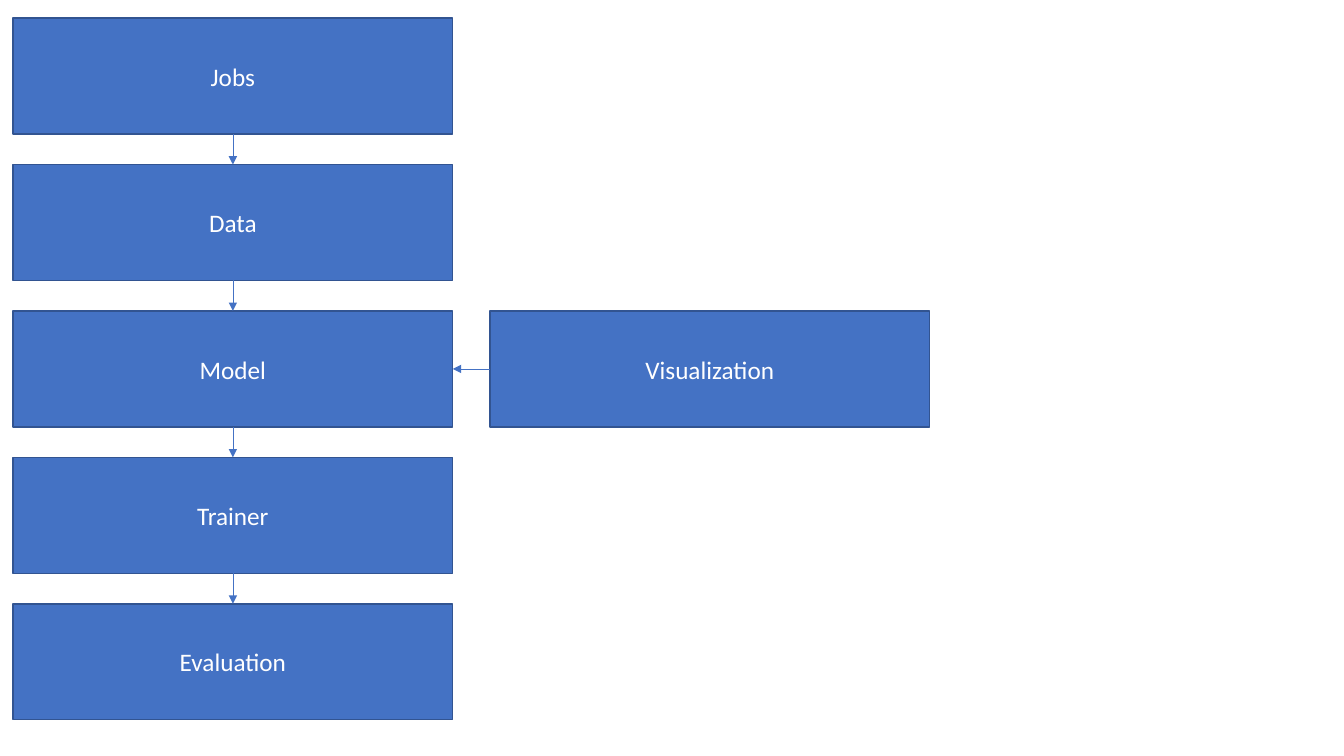
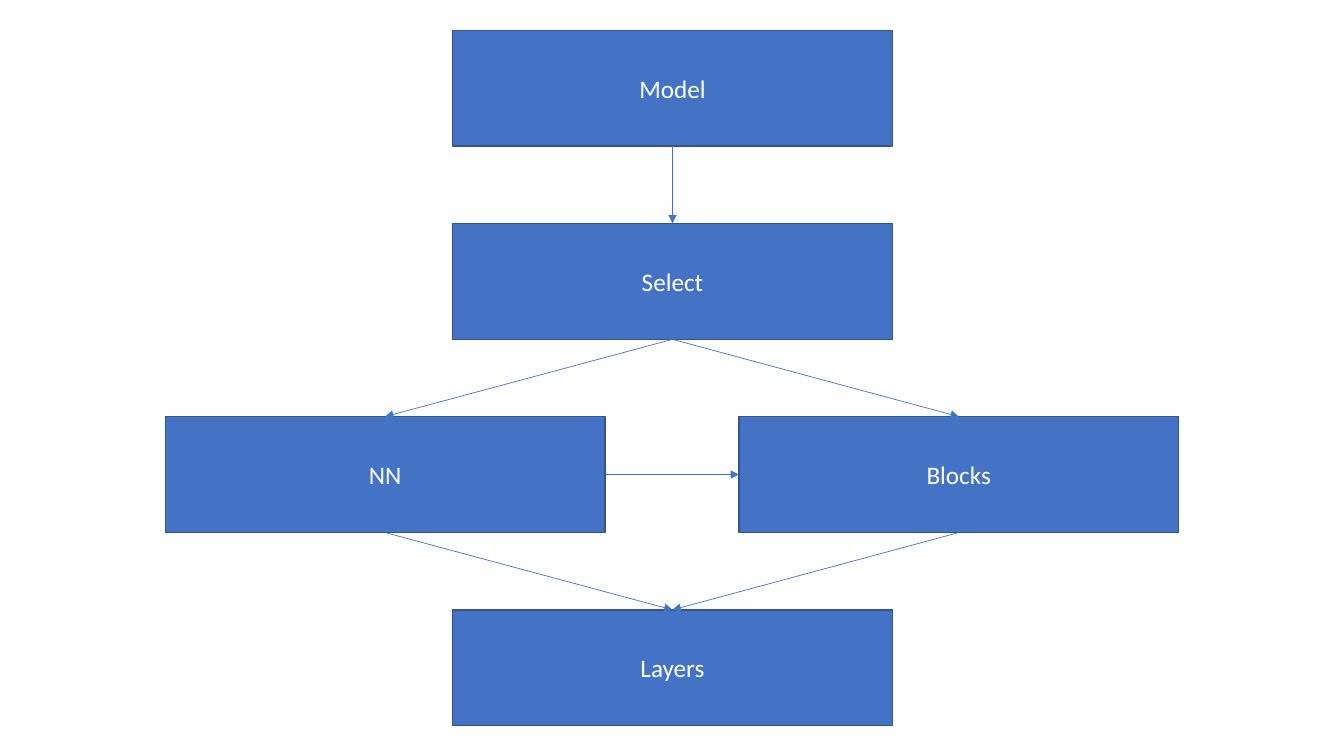
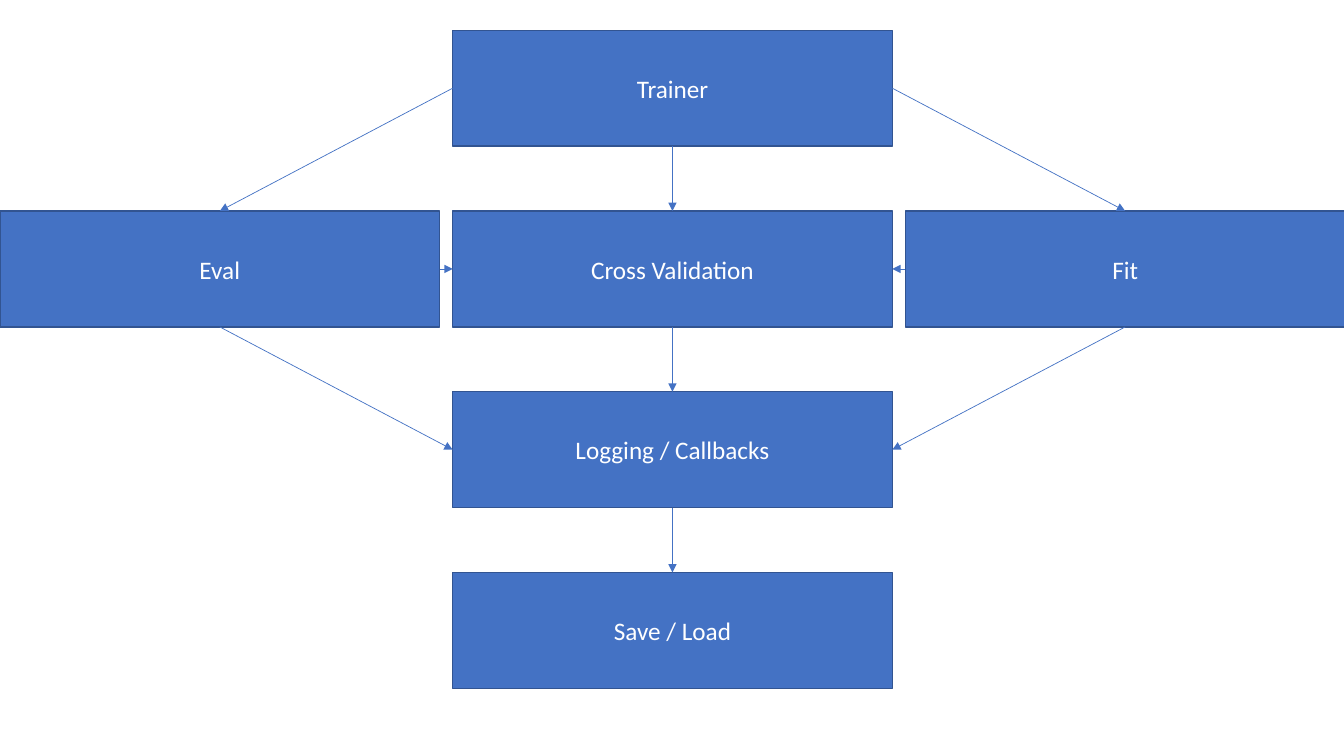
from itertools import pairwise

from lxml.etree import SubElement
from pptx import Presentation
from pptx.dml.color import RGBColor
from pptx.enum.shapes import MSO_CONNECTOR, MSO_SHAPE
from pptx.enum.text import MSO_ANCHOR, PP_ALIGN
from pptx.oxml.ns import qn
from pptx.util import Inches, Pt

BLUE = RGBColor(0x44, 0x72, 0xC4)
DARK_BLUE = RGBColor(0x32, 0x54, 0x91)
WHITE = RGBColor(0xFF, 0xFF, 0xFF)

# Connection sites of a rectangle
TOP, LEFT, BOTTOM, RIGHT = range(4)

BOX_WIDTH, BOX_HEIGHT = 4.36, 1.15
CENTER = 4.49  # left edge of a box in the middle column


def row_tops(first, last, count):
    """Tops of evenly spaced rows, in inches."""
    step = (last - first) / (count - 1)
    return [first + step * row for row in range(count)]


class FlowDeck:
    """Flow charts made of equal boxes and thin arrows."""

    def __init__(self):
        self.presentation = Presentation()
        self.presentation.slide_width = Inches(13.33)
        self.presentation.slide_height = Inches(7.5)
        self.slide = None

    def new_slide(self):
        blank = self.presentation.slide_layouts[6]
        self.slide = self.presentation.slides.add_slide(blank)

    def box(self, label, left, top):
        box = self.slide.shapes.add_shape(
            MSO_SHAPE.RECTANGLE, Inches(left), Inches(top),
            Inches(BOX_WIDTH), Inches(BOX_HEIGHT))
        box.shadow.inherit = False
        box.fill.solid()
        box.fill.fore_color.rgb = BLUE
        box.line.color.rgb = DARK_BLUE
        box.line.width = Pt(1)
        box.text_frame.vertical_anchor = MSO_ANCHOR.MIDDLE
        box.text_frame.text = label
        paragraph = box.text_frame.paragraphs[0]
        paragraph.alignment = PP_ALIGN.CENTER
        paragraph.font.name = "Calibri"
        paragraph.font.size = Pt(18)
        paragraph.font.color.rgb = WHITE
        return box

    def arrow(self, start, end, start_site=BOTTOM, end_site=TOP):
        arrow = self.slide.shapes.add_connector(MSO_CONNECTOR.STRAIGHT, 0, 0, 0, 0)
        arrow.begin_connect(start, start_site)
        arrow.end_connect(end, end_site)
        arrow.line.color.rgb = BLUE
        arrow.line.width = Pt(0.5)
        SubElement(arrow.line._get_or_add_ln(), qn("a:tailEnd"), type="triangle")
        SubElement(arrow._element.spPr, qn("a:effectLst"))

    def chain(self, boxes):
        for upper, lower in pairwise(boxes):
            self.arrow(upper, lower)


deck = FlowDeck()

# Slide 1: overall pipeline
deck.new_slide()
stages = ["Jobs", "Data", "Model", "Trainer", "Evaluation"]
tops = row_tops(0.18, 5.99, len(stages))
pipeline = [deck.box(stage, 0.13, top) for stage, top in zip(stages, tops)]
visualization = deck.box("Visualization", 4.86, tops[2])
deck.chain(pipeline)
deck.arrow(visualization, pipeline[2], LEFT, RIGHT)

# Slide 2: model
deck.new_slide()
tops = row_tops(0.3, 6.05, 4)
model = deck.box("Model", CENTER, tops[0])
select = deck.box("Select", CENTER, tops[1])
nn = deck.box("NN", 1.64, tops[2])
blocks = deck.box("Blocks", 7.33, tops[2])
layers = deck.box("Layers", CENTER, tops[3])
deck.arrow(model, select)
for branch in (nn, blocks):
    deck.chain([select, branch, layers])
deck.arrow(nn, blocks, RIGHT, LEFT)

# Slide 3: trainer
deck.new_slide()
steps = ["Trainer", "Cross Validation", "Logging / Callbacks", "Save / Load"]
tops = row_tops(0.3, 5.68, len(steps))
column = [deck.box(step, CENTER, top) for step, top in zip(steps, tops)]
trainer, validation, logging, _ = column
evaluation = deck.box("Eval", 0, tops[1])
fit = deck.box("Fit", 8.98, tops[1])
deck.chain(column)
for branch, outer, inner in ((evaluation, LEFT, RIGHT), (fit, RIGHT, LEFT)):
    deck.arrow(trainer, branch, outer, TOP)
    deck.arrow(branch, validation, inner, outer)
    deck.arrow(branch, logging, BOTTOM, outer)

deck.presentation.save("out.pptx")
